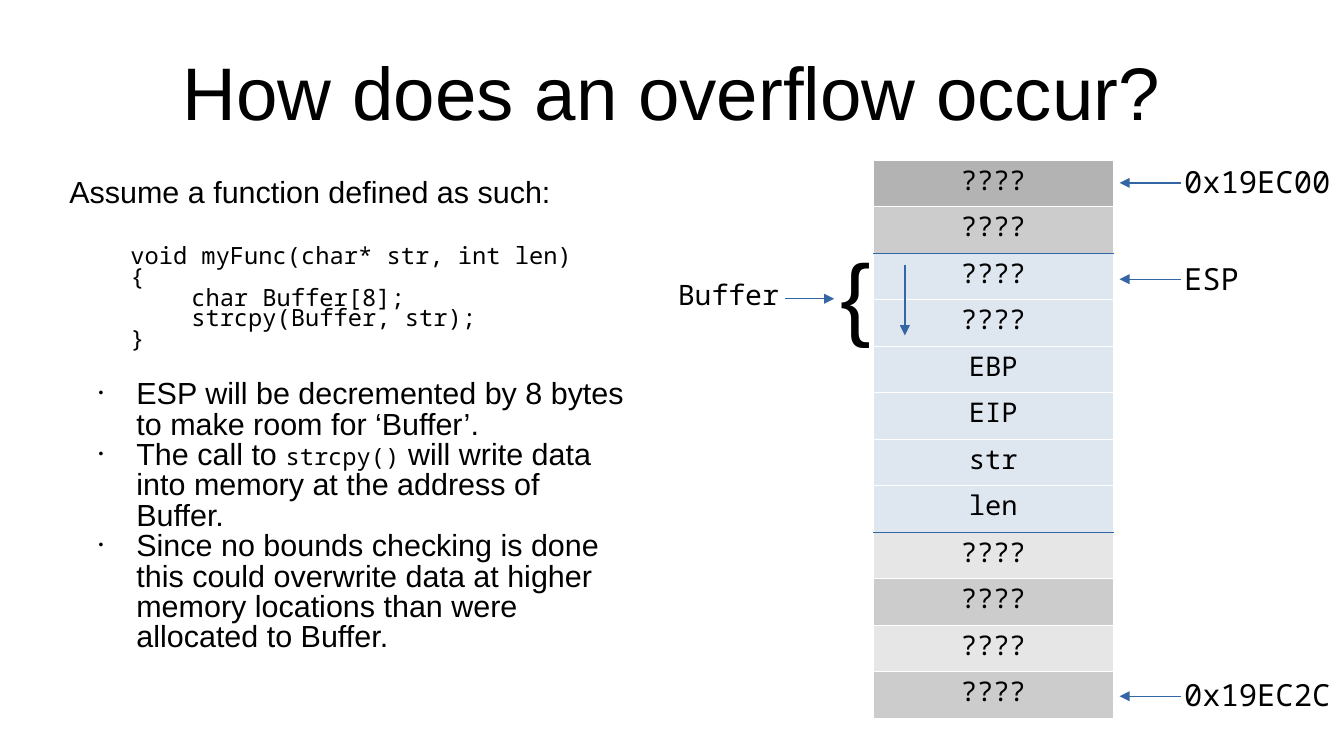
import pptx
import pptx.util
import pptx.dml.color
import pptx.enum.shapes
import pptx.enum.text
import pptx.oxml
import pptx.oxml.ns
from lxml import etree

Inches, Pt = pptx.util.Inches, pptx.util.Pt
RGB = pptx.dml.color.RGBColor
Align = pptx.enum.text.PP_ALIGN
Anchor = pptx.enum.text.MSO_ANCHOR
SANS, MONO = "Arial", "Noto Sans Mono"
HUES = {"text": "000000", "line": "3465A4", "edge": "FFFFFF", "top": "B3B3B3",
        "dark": "CCCCCC", "light": "E6E6E6", "frame": "DEE6EF"}


def node(parent, tag, **attrs):
    return etree.SubElement(parent, pptx.oxml.ns.qn("a:" + tag), attrs)


def write(para, text, font=SANS, size=18, align=Align.LEFT, lead=0.83,
          before=0, left=0, hang=0, bullet=False):
    """Fill a paragraph; text is a string or a list of (string, font, size)."""
    para.alignment = align
    para.line_spacing = lead
    if before:
        para.space_before = Pt(before)
    props = para._p.get_or_add_pPr()
    props.set("marL", str(Inches(left)))
    props.set("indent", str(Inches(-hang)))
    if bullet:
        node(node(props, "buClr"), "srgbClr", val=HUES["text"])
        node(props, "buSzPct", val="45000")
        node(props, "buFont", typeface=SANS)
        node(props, "buChar", char="•")
    runs = [(text, font, size)] if isinstance(text, str) else text
    for words, face, points in runs:
        run = para.add_run()
        run.text = words
        run.font.name = face
        run.font.size = Pt(points)
        run.font.color.rgb = RGB.from_string(HUES["text"])


class Deck:
    def __init__(self, width, height):
        self.show = pptx.Presentation()
        self.show.slide_width = Inches(width)
        self.show.slide_height = Inches(height)
        self.slide = self.show.slides.add_slide(self.show.slide_layouts[6])

    def text(self, box, paras, inset=(0.1, 0.09, 0, 0.05), anchor=Anchor.TOP):
        """Add a text box; paras is a list of (text, format) pairs."""
        frame = self.slide.shapes.add_textbox(*map(Inches, box)).text_frame
        frame.word_wrap = True
        frame.vertical_anchor = anchor
        (frame.margin_left, frame.margin_top,
         frame.margin_right, frame.margin_bottom) = map(Inches, inset)
        for i, (text, style) in enumerate(paras):
            para = frame.add_paragraph() if i else frame.paragraphs[0]
            write(para, text, **style)

    def arrow(self, start, end):
        line = self.slide.shapes.add_connector(
            pptx.enum.shapes.MSO_CONNECTOR.STRAIGHT,
            *map(Inches, start + end))
        line.line.color.rgb = RGB.from_string(HUES["line"])
        line.line.width = Pt(0.75)
        node(line.line._get_or_add_ln(), "tailEnd", type="triangle")
        node(line._element.spPr, "effectLst")

    def edge(self, cell, side, hue):
        line = node(cell._tc.get_or_add_tcPr(), side, w=str(Pt(0.06)))
        node(node(line, "solidFill"), "srgbClr", val=HUES[hue])

    def stack(self, box, rows, marks):
        """Add a one-column table; marks are the rows with a coloured top edge."""
        table = self.slide.shapes.add_table(
            len(rows), 1, *map(Inches, box)).table
        table.first_row = table.horz_banding = False
        for i, (text, hue) in enumerate(rows):
            table.rows[i].height = Inches(box[3] / len(rows))
            cell = table.cell(i, 0)
            write(cell.text_frame.paragraphs[0], text, font=MONO, size=16,
                  align=Align.CENTER)
            self.edge(cell, "lnL", "edge")
            self.edge(cell, "lnR", "edge")
            self.edge(cell, "lnT", "line" if i in marks else "edge")
            self.edge(cell, "lnB", "line" if i + 1 in marks else "edge")
            cell.fill.solid()
            cell.fill.fore_color.rgb = RGB.from_string(HUES[hue])


def main():
    deck = Deck(11.02, 6.2)
    deck.text((0.55, 0.25, 9.92, 1.03),
              [("How does an overflow occur?",
                dict(size=44, align=Align.CENTER, lead=0.93))],
              inset=(0, 0.04, 0, 0), anchor=Anchor.MIDDLE)

    rows = [("????", "top"), ("????", "dark")]
    rows += [(name, "frame")
             for name in ("????", "????", "EBP", "EIP", "str", "len")]
    rows += [("????", hue) for hue in ("light", "dark") * 2]
    deck.stack((7.16, 1.31, 1.97, 4.58), rows, marks=(2, 8))

    for text, top, mid, lead in (("0x19EC00", 1.32, 1.5, 0.73),
                                 ("ESP", 2.09, 2.29, 0.83),
                                 ("0x19EC2C", 5.53, 5.71, 0.73)):
        deck.text((9.61, top, 1.41, 0.38),
                  [(text, dict(font=MONO, lead=lead))])
        deck.arrow((9.68, mid), (9.18, mid))

    deck.text((6.79, 1.93, 0.61, 1), [("{", dict(size=54, lead=0.93))],
              inset=(0.1, 0.1, 0.1, 0.05))
    deck.text((5.46, 2.28, 1.13, 0.35),
              [("Buffer", dict(font=MONO, size=16.6, lead=0.63))])
    deck.arrow((6.44, 2.45), (6.84, 2.45))
    deck.arrow((7.42, 2.17), (7.42, 2.75))

    code = dict(font=MONO, size=14, lead=0.73, left=0.5)
    inner = dict(code, left=1)
    point = dict(left=0.55, hang=0.31, bullet=True)
    deck.text((0.47, 1.4, 4.78, 4.47), [
        ("Assume a function defined as such:", {}),
        ("void myFunc(char* str, int len)", dict(code, lead=0.83, before=21)),
        ("{", code),
        ("char Buffer[8];", inner),
        ("strcpy(Buffer, str);", inner),
        ("}", code),
        ("ESP will be decremented by 8 bytes to make room for ‘Buffer’.",
         dict(point, before=17)),
        ([("The call to ", SANS, 18), ("strcpy()", MONO, 14),
          (" will write data into memory at the address of Buffer.", SANS, 18)],
         point),
        ("Since no bounds checking is done this could overwrite data at higher "
         "memory locations than were allocated to Buffer.", point),
    ], inset=(0.1, 0.07, 0.1, 0.05))
    deck.show.save("out.pptx")


if __name__ == "__main__":
    main()
